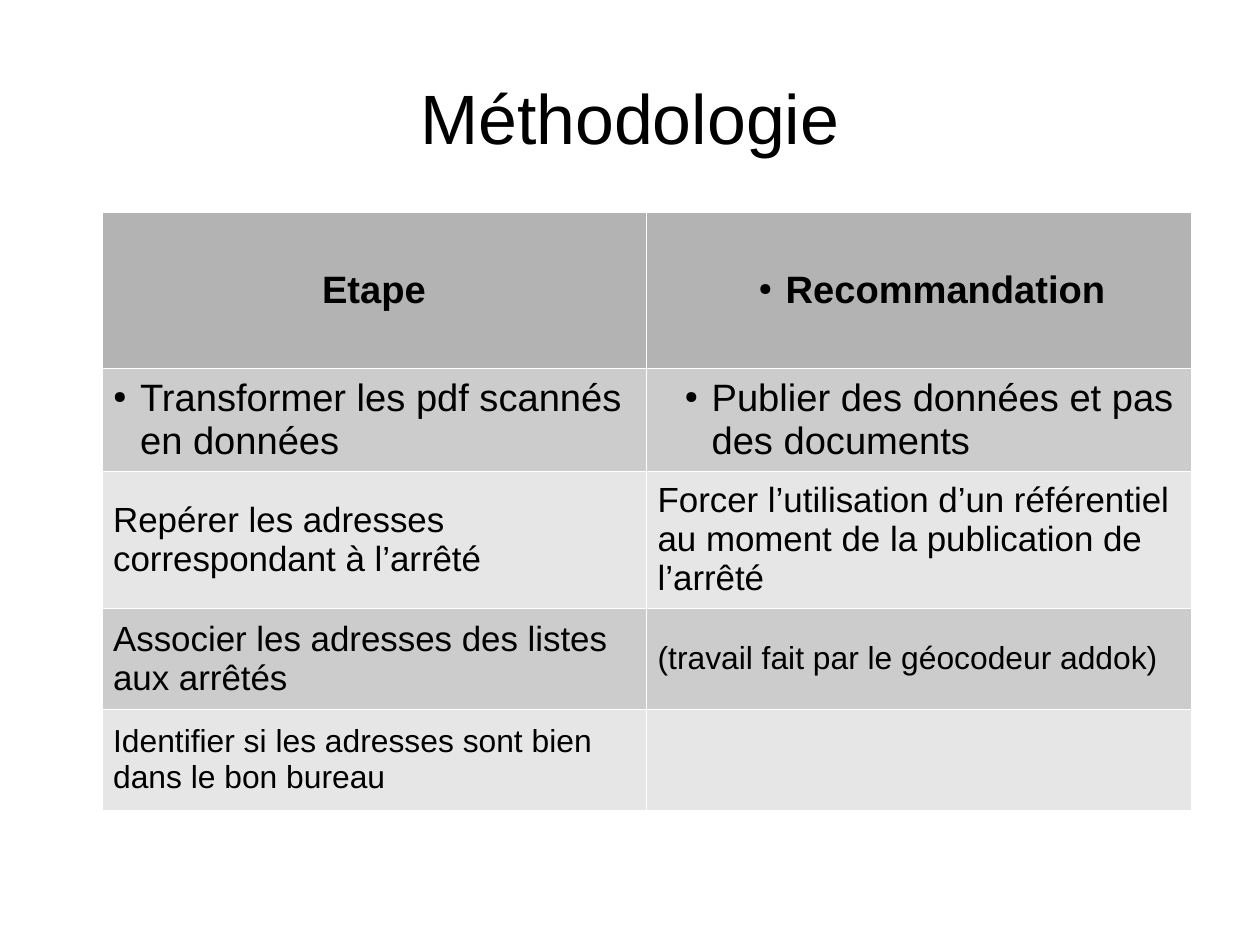
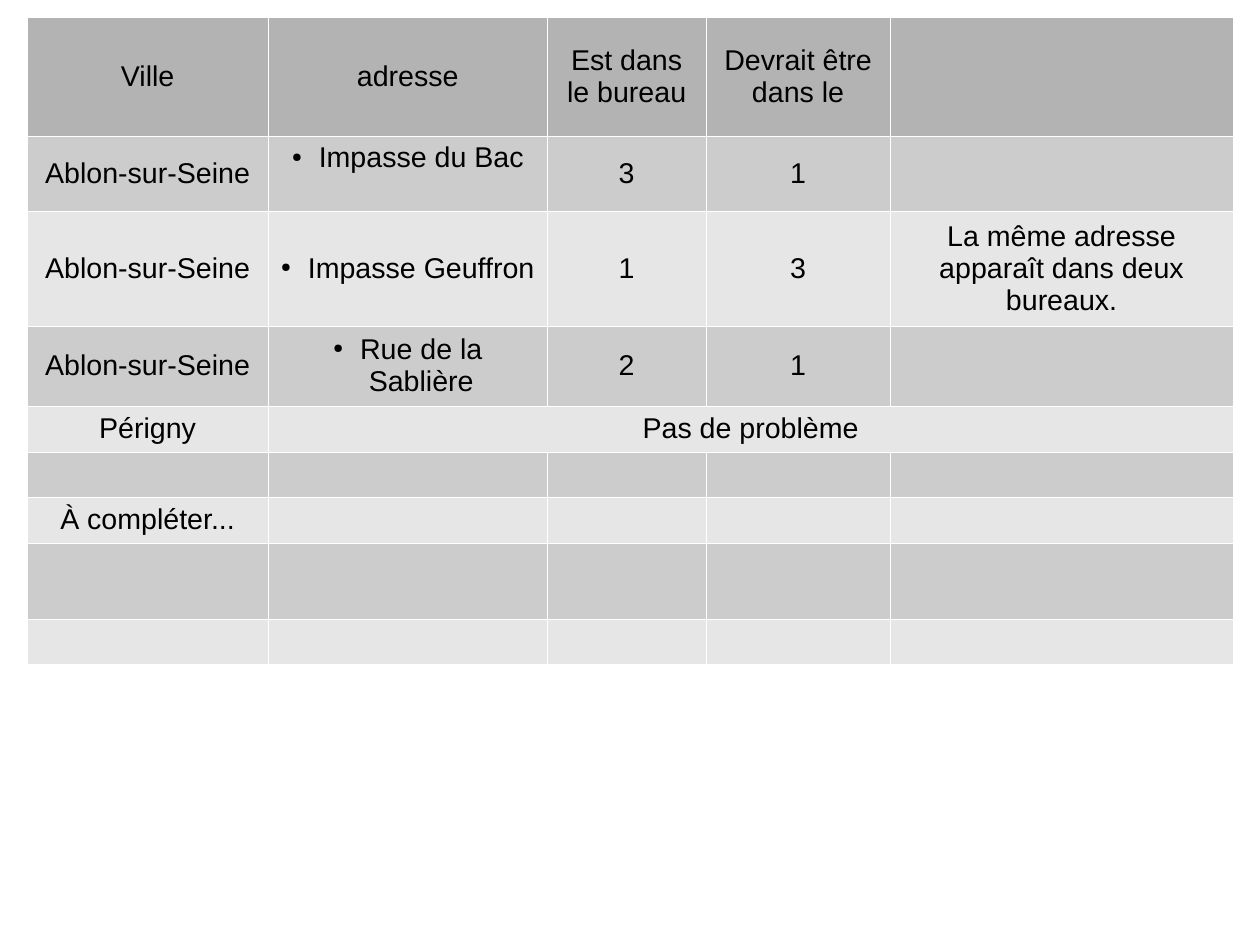
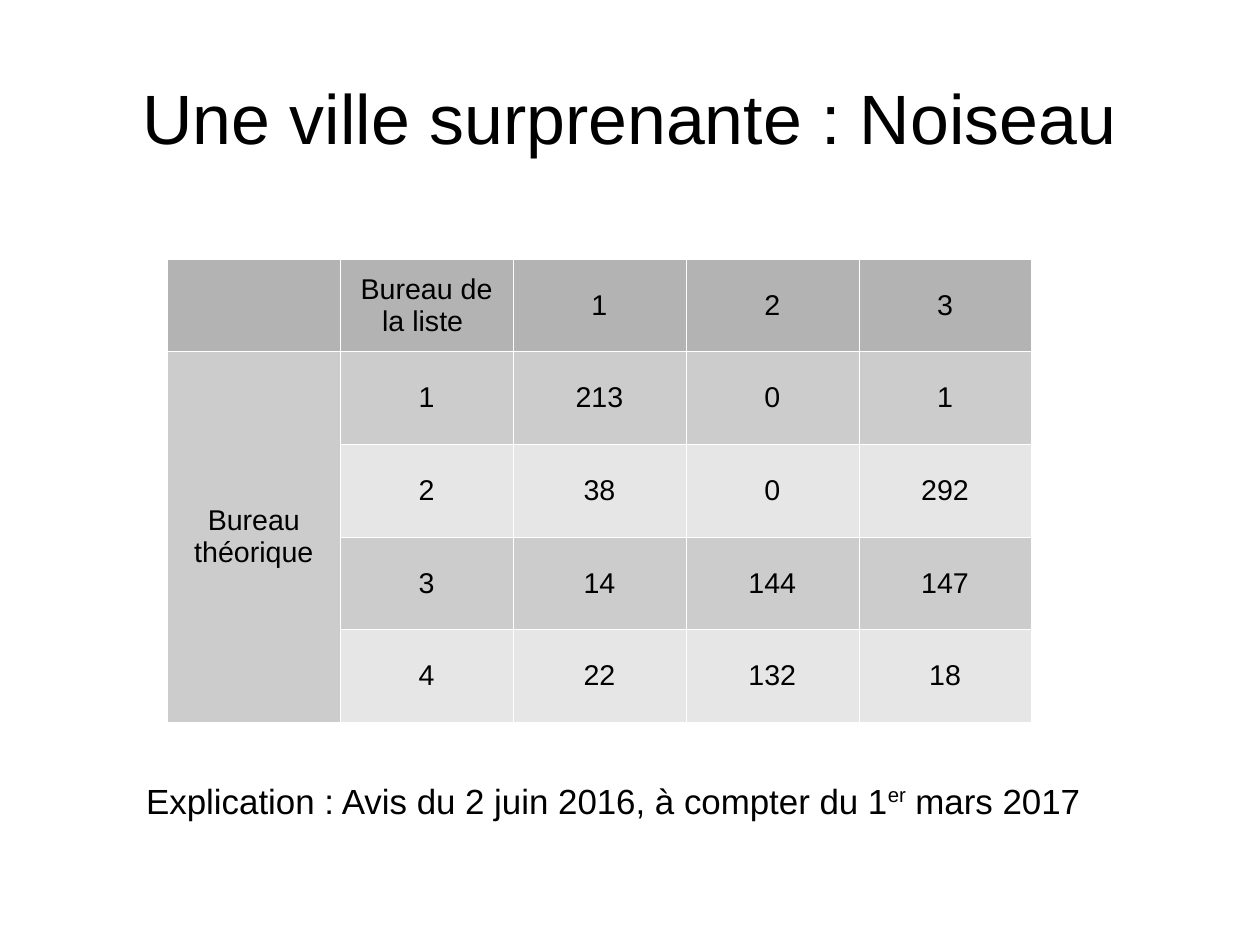
from lxml import etree
from pptx import Presentation
from pptx import util as u
from pptx.dml.color import RGBColor
from pptx.enum import text
from pptx.oxml.ns import qn

Cm, Pt = u.Cm, u.Pt
FONT = "Arial"
COLORS = {"ink": "000000", "header": "B3B3B3", "dark": "CCCCCC", "light": "E6E6E6", "border": "FFFFFF"}
INK = RGBColor.from_string(COLORS["ink"])
CENTER, LEFT = text.PP_ALIGN.CENTER, text.PP_ALIGN.LEFT
MIDDLE, TOP = text.MSO_ANCHOR.MIDDLE, text.MSO_ANCHOR.TOP
BORDER_WIDTH = "762"
BULLET_INDENT = 0.6


def add_grid(page, left, top, widths, heights, rows, align=CENTER, size=18):
    frame = page.shapes.add_table(len(rows), len(widths), Cm(left), Cm(top), Cm(sum(widths)), Cm(sum(heights)))
    table = frame.table
    table.first_row = table.horz_banding = False
    for column, width in zip(table.columns, widths):
        column.width = Cm(width)
    for index, (row, height, words) in enumerate(zip(table.rows, heights, rows)):
        row.height = Cm(height)
        shade = "header" if index == 0 else "dark" if index % 2 else "light"
        for cell, word in zip(row.cells, words):
            properties = cell._tc.get_or_add_tcPr()
            for side in ("a:lnL", "a:lnR", "a:lnT", "a:lnB"):
                line = etree.SubElement(properties, qn(side), w=BORDER_WIDTH)
                solid = etree.SubElement(line, qn("a:solidFill"))
                etree.SubElement(solid, qn("a:srgbClr"), val=COLORS["border"])
            cell.fill.solid()
            cell.fill.fore_color.rgb = RGBColor.from_string(COLORS[shade])
            cell.vertical_anchor = MIDDLE
            cell.text_frame.text = word
            para = cell.text_frame.paragraphs[0]
            para.alignment = CENTER if index == 0 else align
            for span in para.runs:
                span.font.name, span.font.size, span.font.bold = FONT, Pt(size), False
                span.font.color.rgb = INK
    return table


def add_bullet(cell, level=0):
    para = cell.text_frame.paragraphs[0]
    para.level = level
    properties = para._p.get_or_add_pPr()
    properties.set("marL", str(Cm(BULLET_INDENT * (level + 1))))
    properties.set("indent", str(-Cm(BULLET_INDENT)))
    color = etree.SubElement(properties, qn("a:buClr"))
    etree.SubElement(color, qn("a:srgbClr"), val=COLORS["ink"])
    etree.SubElement(properties, qn("a:buSzPct"), val="45000")
    etree.SubElement(properties, qn("a:buChar"), char="●")


deck = Presentation()
deck.slide_width, deck.slide_height = Cm(28), Cm(21)
pages = []
for title in ("Méthodologie", "", "Une ville surprenante : Noiseau"):
    page = deck.slides.add_slide(deck.slide_layouts[6])
    pages.append(page)
    if title:
        box = page.shapes.add_textbox(Cm(1.4), Cm(0.84), Cm(25.2), Cm(3.5))
        frame = box.text_frame
        frame.word_wrap = True
        frame.margin_left = frame.margin_right = frame.margin_top = frame.margin_bottom = 0
        frame.vertical_anchor = MIDDLE
        frame.text = title
        para = frame.paragraphs[0]
        para.alignment = CENTER
        span = para.runs[0]
        span.font.name, span.font.size = FONT, Pt(44)
        span.font.color.rgb = INK
method_page, address_page, town_page = pages

steps = add_grid(
    method_page, 2.26, 4.72, [12.1] * 2, [3.46, 2.28, 3.05, 2.24, 2.24],
    [
        ("Etape", "Recommandation"),
        ("Transformer les pdf scannés en données", "Publier des données et pas des documents"),
        ("Repérer les adresses correspondant à l’arrêté",
         "Forcer l’utilisation d’un référentiel au moment de la publication de l’arrêté"),
        ("Associer les adresses des listes aux arrêtés", "(travail fait par le géocodeur addok)"),
        ("Identifier si les adresses sont bien dans le bon bureau", ""),
    ],
    align=LEFT, size=22,
)
for row, column, size in ((0, 0, 24), (0, 1, 24), (1, 0, 24), (1, 1, 24), (3, 1, 20), (4, 0, 20)):
    span = steps.cell(row, column).text_frame.paragraphs[0].runs[0]
    span.font.size = Pt(size)
    span.font.bold = row == 0
for row, column in ((0, 1), (1, 0), (1, 1)):
    add_bullet(steps.cell(row, column), level=column)

addresses = add_grid(
    address_page, 0.6, 0.39, [5.36, 6.2, 3.53, 4.09, 7.62],
    [2.64, 1.67, 2.4, 1.67, 0.97, 0.97, 0.97, 1.68, 0.97],
    [
        ("Ville", "adresse", "Est dans le bureau", "Devrait être dans le", ""),
        ("Ablon-sur-Seine", "Impasse du Bac", "3", "1", ""),
        ("Ablon-sur-Seine", "Impasse Geuffron", "1", "3", "La même adresse apparaît dans deux bureaux."),
        ("Ablon-sur-Seine", "Rue de la Sablière", "2", "1", ""),
        ("Périgny", "Pas de problème", "", "", ""),
        ("",) * 5,
        ("À compléter...", "", "", "", ""),
        ("",) * 5,
        ("",) * 5,
    ],
)
addresses.cell(4, 1).merge(addresses.cell(4, 4))
for row in (1, 2, 3):
    add_bullet(addresses.cell(row, 1))
for row, column in ((1, 1), (6, 0)):
    addresses.cell(row, column).vertical_anchor = TOP

offices = add_grid(
    town_page, 3.72, 5.75, [3.84] * 5, [2.06] * 5,
    [
        ("", "Bureau de la liste ", "1", "2", "3"),
        ("Bureau théorique", "1", "213", "0", "1"),
        ("", "2", "38", "0", "292"),
        ("", "3", "14", "144", "147"),
        ("", "4", "22", "132", "18"),
    ],
)
offices.cell(1, 0).merge(offices.cell(4, 0))

box = town_page.shapes.add_textbox(Cm(3), Cm(17.2), Cm(22.2), Cm(1.14))
box.text_frame.word_wrap = True
para = box.text_frame.paragraphs[0]
for words, baseline in (
    ("Explication : Avis du 2 juin 2016, à compter du 1", "0"),
    ("er", "33000"),
    (" mars 2017", "0"),
):
    span = para.add_run()
    span.text = words
    span.font.name, span.font.size = FONT, Pt(22)
    span.font.color.rgb = INK
    span._r.get_or_add_rPr().set("baseline", baseline)

deck.save("out.pptx")
